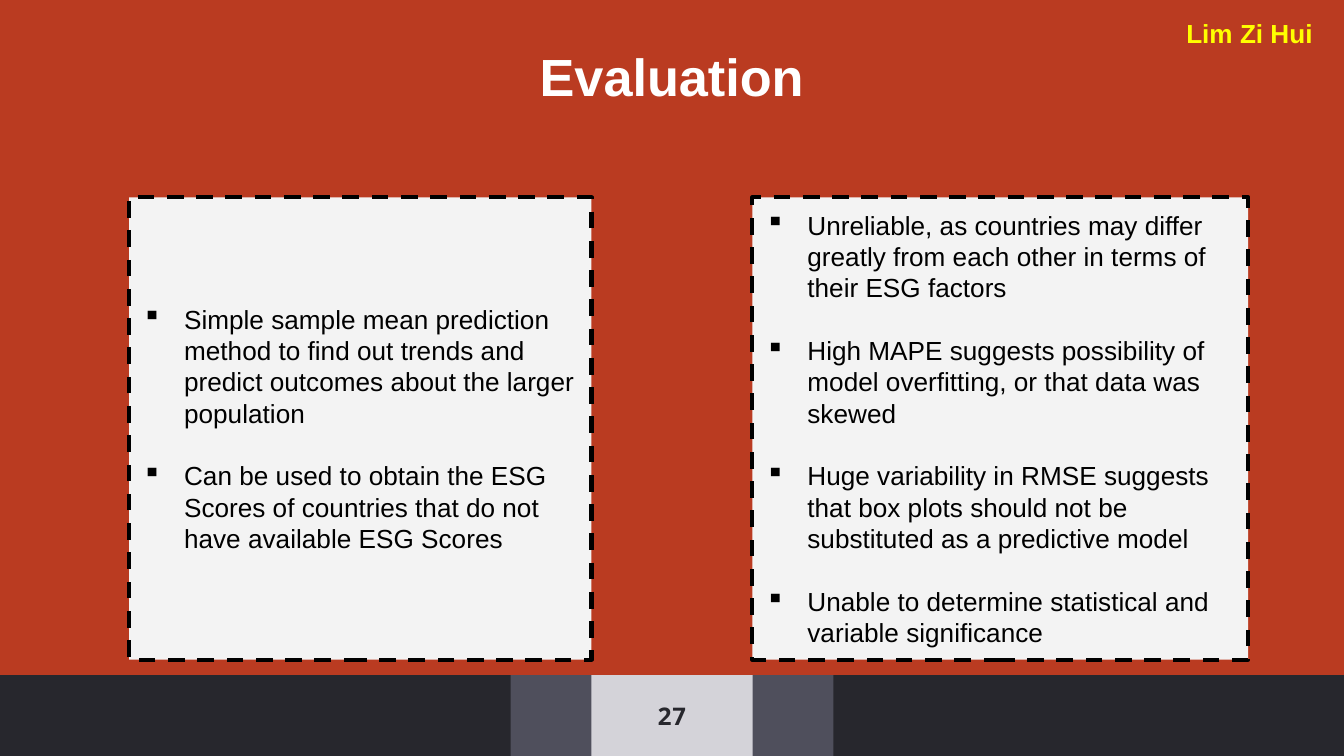
from lxml import etree
from pptx import Presentation
from pptx.dml.color import RGBColor
from pptx.enum.dml import MSO_LINE
from pptx.enum.shapes import MSO_SHAPE
from pptx.enum.text import MSO_ANCHOR, PP_ALIGN
from pptx.oxml.ns import qn
from pptx.util import Cm, Pt

RECT = MSO_SHAPE.RECTANGLE
DASH = MSO_LINE.DASH
MIDDLE = MSO_ANCHOR.MIDDLE
LEFT, CENTER = PP_ALIGN.LEFT, PP_ALIGN.CENTER

WIDTH, HEIGHT = 25.4, 14.29
FOOTER_HEIGHT = 1.53
FOOTER_TOP = HEIGHT - FOOTER_HEIGHT
FOOTER_BANDS = [(WIDTH, "27272D"), (6.1, "4F4F5C"), (3.05, "D4D3D9")]

STRENGTHS = [
    "Simple sample mean prediction method to find out trends and "
    "predict outcomes about the larger population",
    "Can be used to obtain the ESG Scores of countries that do not "
    "have available ESG Scores",
]
LIMITATIONS = [
    "Unreliable, as countries may differ greatly from each other in "
    "terms of their ESG factors",
    "High MAPE suggests possibility of model overfitting, or that data "
    "was skewed",
    "Huge variability in RMSE suggests that box plots should not be "
    "substituted as a predictive model",
    "Unable to determine statistical and variable significance",
]


def rgb(value):
    """Turn a hex string into a colour."""
    return RGBColor.from_string(value)


def add_run(p, text, size, color, bold=False, font="Arial"):
    """Add one formatted run to a paragraph."""
    r = p.add_run()
    r.text = text
    r.font.size = Pt(size)
    r.font.name = font
    r.font.bold = bold
    r.font.color.rgb = rgb(color)


def add_rect(s, left, top, width, height, fill):
    """Add a plain filled rectangle without outline."""
    sp = s.shapes.add_shape(RECT, Cm(left), Cm(top), Cm(width), Cm(height))
    sp.shadow.inherit = False
    sp.fill.solid()
    sp.fill.fore_color.rgb = rgb(fill)
    sp.line.fill.background()
    return sp


def add_label(s, left, top, width, height, text, size, color,
              align=LEFT, font="Arial"):
    """Add a one-line bold text box and return its text frame."""
    sp = s.shapes.add_textbox(Cm(left), Cm(top), Cm(width), Cm(height))
    tf = sp.text_frame
    tf.word_wrap = True
    p = tf.paragraphs[0]
    p.alignment = align
    add_run(p, text, size, color, True, font)
    return tf


def set_bullet(p):
    """Give a paragraph a hanging black square bullet."""
    pPr = p._p.get_or_add_pPr()
    pPr.set("marL", str(Cm(0.79)))
    pPr.set("indent", str(-Cm(0.79)))
    color = etree.SubElement(pPr, qn("a:buClr"))
    etree.SubElement(color, qn("a:srgbClr")).set("val", "000000")
    etree.SubElement(pPr, qn("a:buChar")).set("char", "▪")


def add_panel(s, left, width, points):
    """Add a dashed panel holding a bulleted list."""
    sp = add_rect(s, left, 3.73, width, 8.74, "F3F3F3")
    sp.line.color.rgb = rgb("000000")
    sp.line.width = Pt(2.25)
    sp.line.dash_style = DASH
    tf = sp.text_frame
    tf.word_wrap = True
    tf.vertical_anchor = MIDDLE
    for i, point in enumerate(points):
        p = tf.add_paragraph() if i else tf.paragraphs[0]
        set_bullet(p)
        p.alignment = LEFT
        if i:
            p.space_before = Pt(16.8)
        add_run(p, point, 14, "000000")


def add_footer(s, number):
    """Add the centred footer bands and the page number."""
    for width, fill in FOOTER_BANDS:
        left = (WIDTH - width) / 2
        add_rect(s, left, FOOTER_TOP, width, FOOTER_HEIGHT, fill)
    tf = add_label(s, left, FOOTER_TOP, width, FOOTER_HEIGHT, number, 13,
                   "27272D", CENTER, "Noto Sans Mono")
    tf.vertical_anchor = MIDDLE


def main():
    """Build the evaluation slide."""
    prs = Presentation()
    prs.slide_width, prs.slide_height = Cm(WIDTH), Cm(HEIGHT)
    s = prs.slides.add_slide(prs.slide_layouts[6])
    s.background.fill.solid()
    s.background.fill.fore_color.rgb = rgb("BA3B21")
    add_footer(s, "27")
    add_panel(s, 2.44, 8.74, STRENGTHS)
    add_panel(s, 14.22, 9.37, LIMITATIONS)
    add_label(s, 4.29, 0.71, 16.81, 1.45, "Evaluation", 28, "FFFFFF", CENTER)
    add_label(s, 22.17, 0.2, 3.12, 0.86, "Lim Zi Hui", 14, "FFFF00")
    prs.save("out.pptx")


if __name__ == "__main__":
    main()
